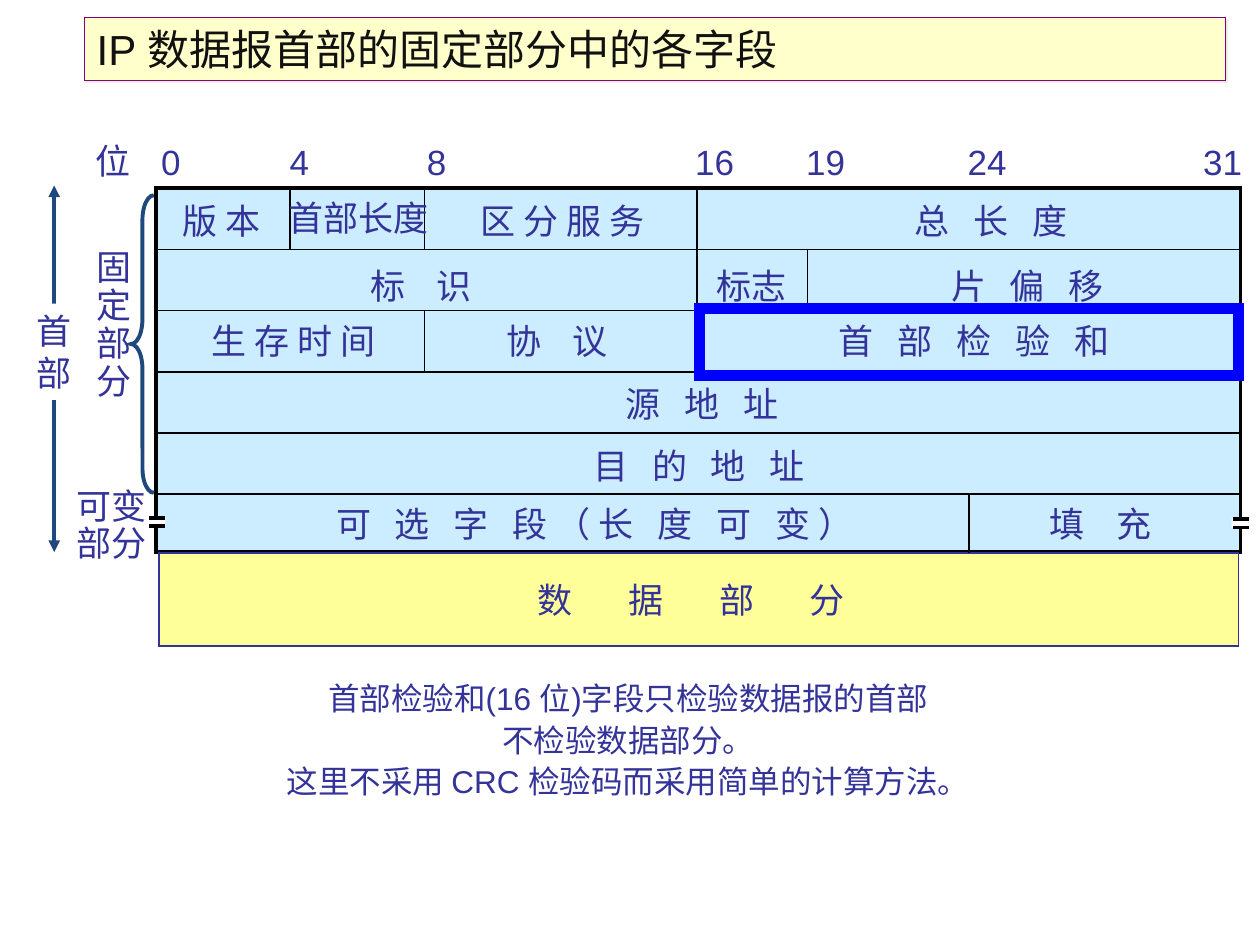
from dataclasses import dataclass
from typing import Optional

from lxml import etree
from pptx import Presentation
from pptx.dml.color import RGBColor
from pptx.enum import shapes as kinds, text as txt
from pptx.oxml import ns
from pptx.util import Pt


@dataclass(frozen=True)
class Theme:
    font: str = "Arial"
    ink: str = "333399"
    black: str = "000000"
    white: str = "FFFFFF"
    steel: str = "1F497D"
    head: str = "CCECFF"
    data: str = "FFFF99"
    mark: str = "0000FF"
    banner: str = "FFFFCC"
    edge: str = "800080"
    title: str = "111111"
    shade: str = "EEECE1"
    body: float = 20
    note: float = 18
    large: float = 24


@dataclass(frozen=True)
class Box:
    x: float
    y: float
    w: float
    h: float


@dataclass(frozen=True)
class Label:
    text: str
    box: Box
    gap: float = 0  # letter spacing
    lead: float = 1  # line spacing


T = Theme()
LEFT, RIGHT, TOP, ROW = 89.3, 709, 107.5, 35
HIGH = 31  # height of a one-line label
LOOSE, WIDE, VAST = 4.55, 6.8, 13.65

deck = Presentation()
deck.slide_width, deck.slide_height = Pt(720), Pt(540)
slide = deck.slides.add_slide(deck.slide_layouts[6])
parts = slide.shapes


def rgb(code: str) -> RGBColor:
    return RGBColor.from_string(code)


def place(b: Box) -> list:
    return [Pt(v) for v in (b.x, b.y, b.w, b.h)]


def draw(b: Box, fill: Optional[str] = None, line: Optional[str] = None,
         width: float = 1, kind=kinds.MSO_SHAPE.RECTANGLE):
    shape = parts.add_shape(kind, *place(b))
    shape.shadow.inherit = False
    if fill:
        shape.fill.solid()
        shape.fill.fore_color.rgb = rgb(fill)
    else:
        shape.fill.background()
    if line:
        shape.line.color.rgb = rgb(line)
        shape.line.width = Pt(width)
        # Sharp corners
        etree.SubElement(shape.line._get_or_add_ln(), ns.qn("a:miter"),
                         lim="800000")
    else:
        shape.line.fill.background()
    return shape


def rule(x1: float, y1: float, x2: float, y2: float,
         color: str = T.black, width: float = 1, arrows: bool = False) -> None:
    line = parts.add_connector(kinds.MSO_CONNECTOR.STRAIGHT,
                               Pt(x1), Pt(y1), Pt(x2), Pt(y2))
    line.line.color.rgb = rgb(color)
    line.line.width = Pt(width)
    if arrows:
        ln = line.line._get_or_add_ln()
        for end in ("a:headEnd", "a:tailEnd"):
            etree.SubElement(ln, ns.qn(end), type="triangle")
    etree.SubElement(line._element.spPr, ns.qn("a:effectLst"))


def write(shape, item: Label, size: float = T.body, color: str = T.ink,
          align=txt.PP_ALIGN.LEFT, wrap: bool = False) -> None:
    frame = shape.text_frame
    style = {"word_wrap": wrap, "vertical_anchor": txt.MSO_ANCHOR.TOP,
             "auto_size": txt.MSO_AUTO_SIZE.SHAPE_TO_FIT_TEXT}
    for key, value in style.items():
        setattr(frame, key, value)
    face = {"name": T.font, "size": Pt(size)}
    for n, row in enumerate(item.text.split("\n")):
        para = frame.add_paragraph() if n else frame.paragraphs[0]
        para.alignment, para.line_spacing = align, item.lead
        run = para.add_run()
        run.text = row
        for key, value in face.items():
            setattr(run.font, key, value)
        run.font.color.rgb = rgb(color)
        if item.gap:
            run.font._element.set("spc", str(round(item.gap * 100)))


def label(item: Label, **style) -> None:
    b = item.box
    # The last letter is spaced too, so the box grows by one gap
    wide = Box(b.x, b.y, b.w + item.gap, b.h)
    write(parts.add_textbox(*place(wide)), item, **style)


# Extent of the whole header
rule(31, 106, 31, 315.5, T.steel, 2.25, arrows=True)
extent = Label("首\n部", Box(13.7, 173.5, 34.5, 55))
write(draw(extent.box, T.white), extent)

# Header and data blocks
draw(Box(LEFT, TOP, RIGHT - LEFT, 208), T.head, T.black, 2)
draw(Box(90.7, 316, 617, 53.3), T.data, T.ink)

# Row and column rules
for n in range(1, 6):
    y = TOP + n * ROW
    rule(LEFT, y, RIGHT, y)
for x, first, last in ((165.6, 0, 1), (242.6, 0, 1), (242.6, 2, 3),
                       (398.2, 0, 3), (461.5, 1, 2), (553.7, 5, 6)):
    rule(x, TOP + first * ROW, x, min(TOP + last * ROW, 316))

# Bit numbers
for bit, x in ((0, 85), (4, 158.4), (8, 236.9), (16, 390.2),
               (19, 453.6), (24, 545.8), (31, 680.4)):
    label(Label(str(bit), Box(x, 77, 25 if bit < 10 else 36.7, HIGH)))
label(Label("位", Box(47.5, 76.3, 34.5, HIGH)))

# Field names: text, left, top, width, letter spacing
for name, x, y, w, gap in (
        ("版 本", 97.2, 110.2, 59, 0),
        ("首部长度", 157.7, 108.7, 94.3, 0),
        ("区 分 服 务", 267.8, 110.2, 108, 0),
        ("总 长 度", 515.5, 110.2, 101.5, LOOSE),
        ("标 识", 204.5, 147.6, 72, WIDE),
        ("标志", 402.5, 147.6, 54.7, 0),
        ("片 偏 移", 536.4, 147.6, 101.5, LOOSE),
        ("生 存 时 间", 113.8, 179.3, 108, 0),
        ("协 议", 282.2, 179.3, 72, WIDE),
        ("首 部 检 验 和", 472.3, 179.3, 168.5, LOOSE),
        ("源 地 址", 350.6, 215.3, 101.5, LOOSE),
        ("目 的 地 址", 331.9, 250.6, 134.6, LOOSE),
        ("可 选 字 段（长 度 可 变）", 185, 283.7, 325, LOOSE),
        ("填 充", 592.6, 283.7, 72, WIDE),
        ("数 据 部 分", 300.2, 326.9, 186, VAST)):
    label(Label(name, Box(x, y, w, HIGH), gap))

# Break marks on both sides
for x, y in ((84.5, 295.7), (703.8, 296.3)):
    draw(Box(x, y, 10, 5.2), T.white)
    for dy in (0.3, 5):
        rule(x + 0.8, y + dy, x + 9.8, y + dy, width=2)

# Fixed and variable parts
label(Label("固\n定\n部\n分", Box(48.2, 139.7, 34.5, 93.6), lead=0.9))
label(Label("可变\n部分", Box(36.7, 275.8, 54.7, 50.4), lead=0.9))
brace = draw(Box(74.9, 111.6, 13, 170), None, T.steel, 2.25,
             kinds.MSO_SHAPE.LEFT_BRACE)
brace.adjustments[0] = 1.08

# Checksum frame and remark
remark = ("首部检验和(16 位)字段只检验数据报的首部\n不检验数据部分。\n"
          "这里不采用 CRC 检验码而采用简单的计算方法。")
label(Label(remark, Box(150.5, 382.3, 416.9, 78.5), lead=1.1),
      size=T.note, align=txt.PP_ALIGN.CENTER)
draw(Box(399.6, 176.4, 308.2, 38.2), None, T.mark, 6)

# Title banner with a faint shadow
title = Label("IP 数据报首部的固定部分中的各字段", Box(48.2, 10, 652.3, 36))
banner = draw(title.box, T.banner, T.edge, 0.75)
write(banner, title, T.large, T.title, wrap=True)
glow = etree.SubElement(banner._element.spPr.find(ns.qn("a:effectLst")),
                        ns.qn("a:outerShdw"), dist=str(Pt(1.4)), dir="2700000")
etree.SubElement(glow, ns.qn("a:srgbClr"), val=T.shade)

deck.save("out.pptx")
